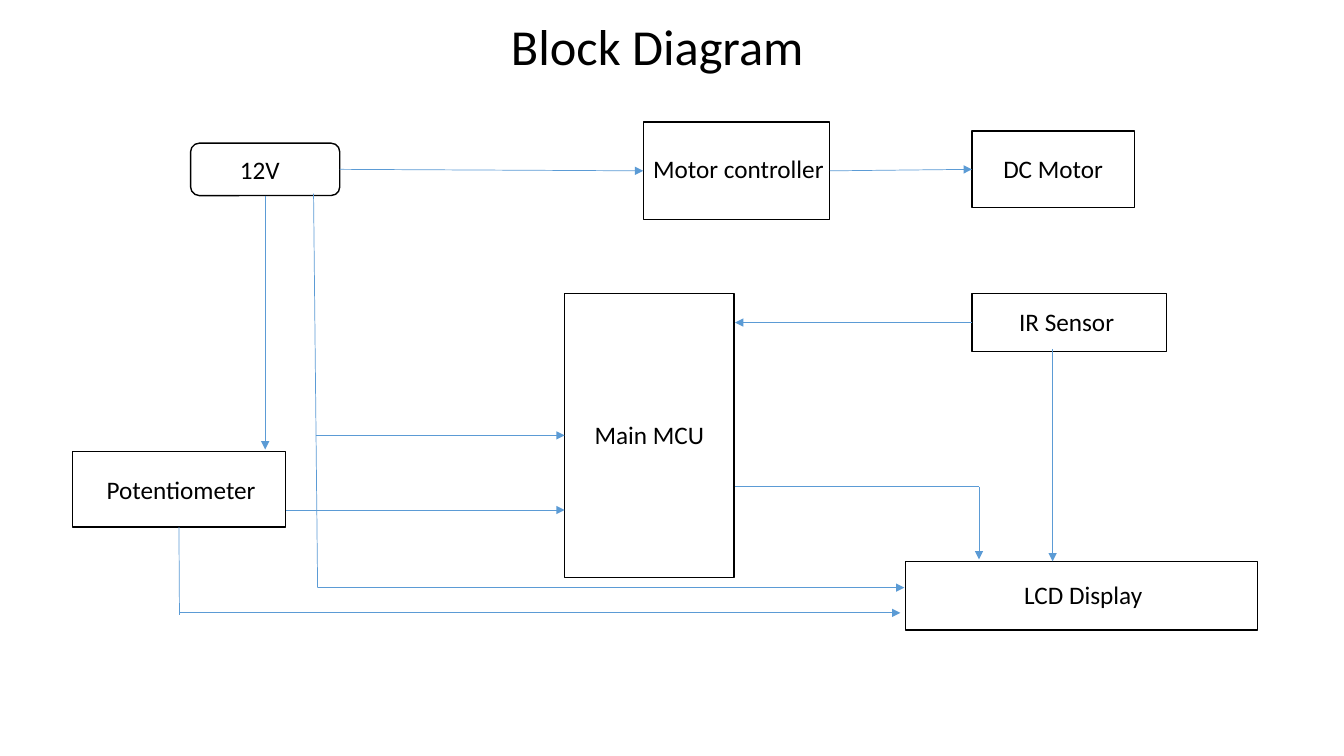
from lxml import etree
from pptx import Presentation
from pptx import util as u
from pptx.dml.color import RGBColor
from pptx.enum import shapes, text
from pptx.oxml.ns import qn

PX = 9144  # EMU, 100 px to the inch
FONT, BLACK, BLUE = "Calibri", "000000", "5B9BD5"
TOP, LEFT, BOTTOM, RIGHT = range(4)
RECT = shapes.MSO_SHAPE.RECTANGLE
ROUND = shapes.MSO_SHAPE.ROUNDED_RECTANGLE
START, CENTER = text.PP_ALIGN.LEFT, text.PP_ALIGN.CENTER

# name: outline, (left, top, width, height)
BLOCKS = {
    "board": (RECT, (560, 291, 168, 282)),
    "motor": (RECT, (964, 130, 161, 76)),
    "potentiometer": (RECT, (72, 448, 211, 75)),
    "display": (RECT, (898, 557, 349, 68)),
    "controller": (RECT, (638, 121, 185, 97)),
    "supply": (ROUND, (189, 142, 148, 52)),
    "sensor": (RECT, (964, 291, 193, 58)),
}

# wording, (left, top, width, height), size, alignment
LABELS = [
    ("Block Diagram", (497, 10, 466, 71), 36, START),
    ("Main MCU", (572, 411, 144, 40), 18, CENTER),
    ("12V", (228, 148, 69, 40), 18, START),
    ("DC Motor", (977, 147, 135, 40), 18, CENTER),
    ("LCD Display", (1006, 570, 193, 40), 18, START),
    ("IR Sensor", (1001, 299, 131, 40), 18, START),
    ("Motor controller", (638, 147, 203, 40), 18, START),
    ("Potentiometer", (96, 466, 219, 40), 18, START),
]

# from, to, arrowhead; an end is a point or (block, side)
WIRES = [
    (("supply", RIGHT), ("controller", LEFT), True),
    (("controller", RIGHT), ("motor", LEFT), True),
    (("sensor", LEFT), (729, 320), True),
    ((1044, 346), (1044, 557), True),
    (("supply", BOTTOM), (263, 446), True),
    ((311, 192), (315, 583), False),
    ((313, 432), ("board", LEFT), True),
    ((315, 583), (897, 583), True),
    ((284, 506), (560, 506), True),
    (("potentiometer", BOTTOM), (178, 610), False),
    ((178, 608), (893, 608), True),
    ((971, 483), (729, 483), False),
    ((971, 483), (971, 555), True),
]


def color(value):
    return RGBColor.from_string(value)


def emu(lengths):
    return [length * PX for length in lengths]


def add_block(page, outline, place):
    block = page.shapes.add_shape(outline, *emu(place))
    block.shadow.inherit = False
    block.fill.background()
    block.line.color.rgb = color(BLACK)
    block.line.width = u.Pt(1)
    return block


def add_label(page, wording, place, size, alignment):
    frame = page.shapes.add_textbox(*emu(place)).text_frame
    frame.word_wrap = True
    para = frame.paragraphs[0]
    para.alignment = alignment
    span = para.add_run()
    span.text = wording
    span.font.name = FONT
    span.font.size = u.Pt(size)
    span.font.color.rgb = color(BLACK)


def add_wire(page, blocks, start, end, arrow):
    points = [(0, 0) if point[0] in blocks else point for point in (start, end)]
    wire = page.shapes.add_connector(
        shapes.MSO_CONNECTOR.STRAIGHT, *emu(points[0] + points[1]))
    for point, connect in ((start, wire.begin_connect), (end, wire.end_connect)):
        if point[0] in blocks:
            connect(blocks[point[0]], point[1])
    wire.line.color.rgb = color(BLUE)
    wire.line.width = u.Pt(0.5)
    if arrow:
        etree.SubElement(wire.line._get_or_add_ln(), qn("a:tailEnd"), type="triangle")
    etree.SubElement(wire._element.spPr, qn("a:effectLst"))


def main():
    deck = Presentation()
    deck.slide_width, deck.slide_height = emu((1333, 750))
    page = deck.slides.add_slide(deck.slide_layouts[6])
    blocks = {name: add_block(page, *block) for name, block in BLOCKS.items()}
    for label in LABELS:
        add_label(page, *label)
    for wire in WIRES:
        add_wire(page, blocks, *wire)
    deck.save("out.pptx")


if __name__ == "__main__":
    main()
